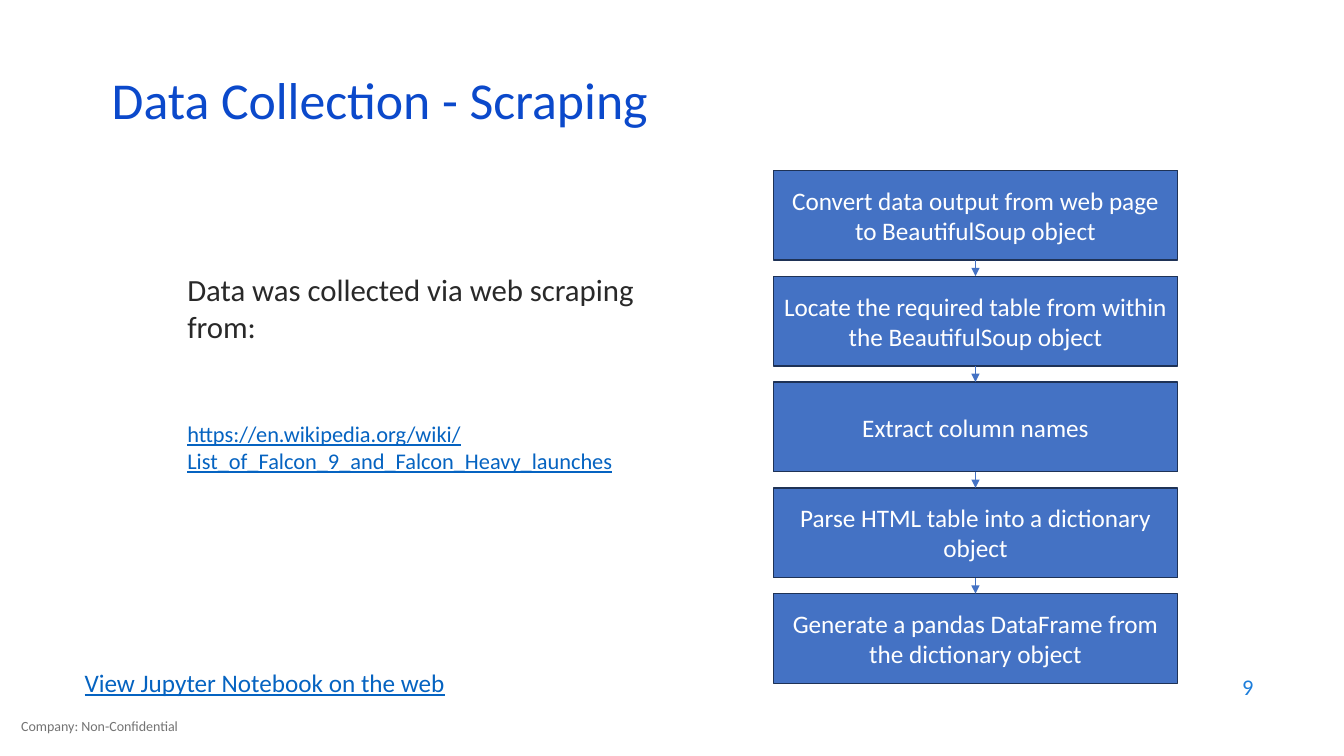
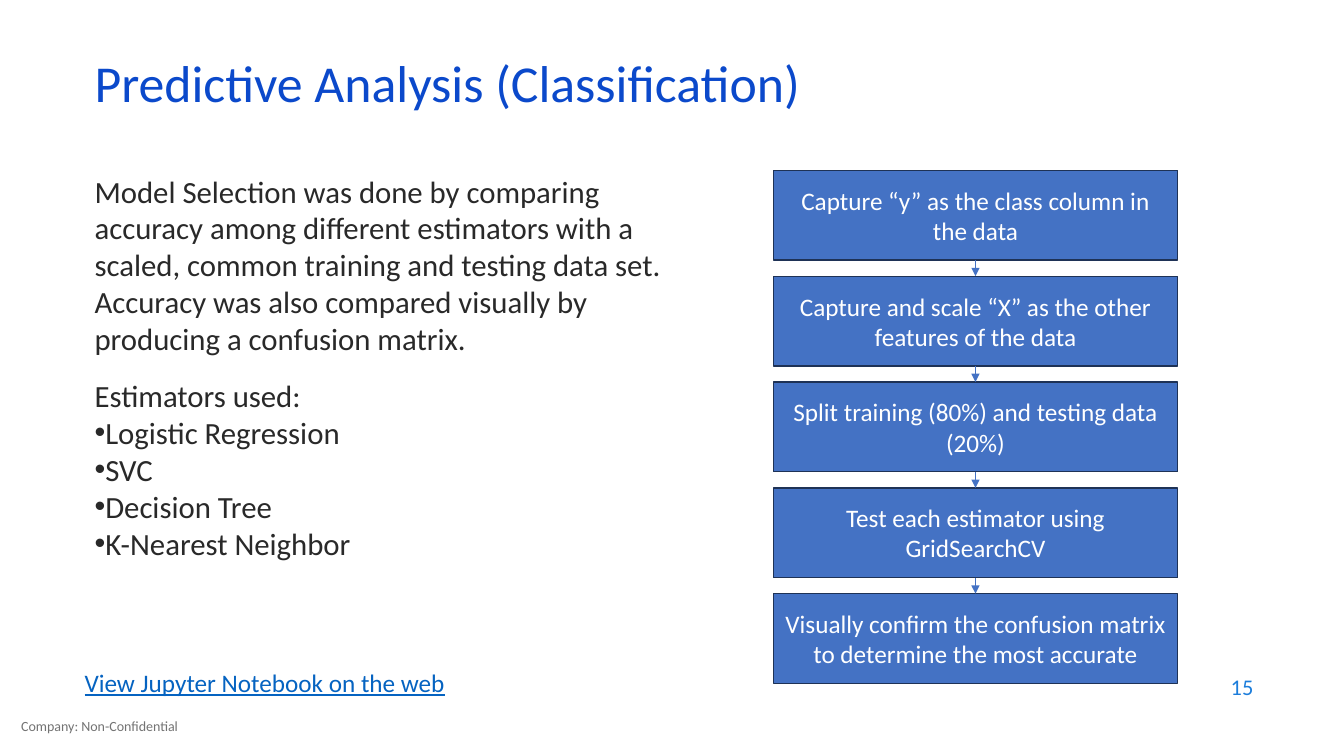
from dataclasses import dataclass
from itertools import pairwise

from lxml import etree
from pptx import Presentation, util as u
from pptx.dml.color import RGBColor
from pptx.enum import shapes, text
from pptx.oxml.ns import qn


@dataclass(frozen=True)
class Theme:
    font: str = "Calibri"
    title: str = "0B49CB"
    body: str = "292929"
    link: str = "0563C1"
    number: str = "1C7DDB"
    footer: str = "737373"
    step: str = "4472C4"
    step_line: str = "1E3256"
    step_text: str = "FFFFFF"
    title_size: int = 37
    body_size: int = 22
    step_size: int = 18
    small_size: int = 16
    footer_size: int = 10


THEME = Theme()
SLIDE_WIDTH, SLIDE_HEIGHT = 13.33, 7.5
FOOTER = "Company: Non-Confidential"
NOTEBOOK = "View Jupyter Notebook on the web"
STEP_LEFT, STEP_TOP, STEP_WIDTH, STEP_HEIGHT, STEP_PITCH = 7.67, 1.69, 4.01, 0.89, 1.05

LINK = dict(size=THEME.small_size, color=THEME.link, underline=True)
BULLET = dict(bullet="•")

SLIDES = [
    dict(
        number=9,
        title="Data Collection - Scraping",
        title_at=(1.01, 0.76, 11.5, 0.6),
        body_at=(1.76, 2.64, 4.83, 3.08),
        body=[
            ("Data was collected via web scraping from:", {}),
            ("https://en.wikipedia.org/wiki/List_of_Falcon_9_and_Falcon_Heavy_launches",
             dict(LINK, before=54)),
        ],
        steps=[
            "Convert data output from web page to BeautifulSoup object",
            "Locate the required table from within the BeautifulSoup object",
            "Extract column names",
            "Parse HTML table into a dictionary object",
            "Generate a pandas DataFrame from the dictionary object",
        ],
    ),
    dict(
        number=15,
        title="Predictive Analysis (Classification)",
        title_at=(0.84, 0.59, 11.5, 0.6),
        body_at=(0.84, 1.66, 6.27, 4.76),
        body=[
            ("Model Selection was done by comparing accuracy among different estimators "
             "with a scaled, common training and testing data set. Accuracy was also "
             "compared visually by producing a confusion matrix.", {}),
            ("Estimators used:", dict(before=14)),
            ("Logistic Regression", BULLET),
            ("SVC", BULLET),
            ("Decision Tree", BULLET),
            ("K-Nearest Neighbor", BULLET),
        ],
        steps=[
            "Capture “y” as the class column in the data",
            "Capture and scale “X” as the other features of the data",
            "Split training (80%) and testing data (20%)",
            "Test each estimator using GridSearchCV",
            "Visually confirm the confusion matrix to determine the most accurate",
        ],
    ),
]


def inches(*lengths):
    return [u.Inches(length) for length in lengths]


def write(paragraph, words, *, size=THEME.body_size, color=THEME.body, underline=None,
          align=text.PP_ALIGN.LEFT, before=0, line_spacing=None, bullet=None):
    if bullet:
        properties = paragraph._p.get_or_add_pPr()
        etree.SubElement(properties, qn("a:buFont"), typeface="Arial")
        etree.SubElement(properties, qn("a:buChar"), char=bullet)
    paragraph.alignment = align
    paragraph.space_before = u.Pt(before)
    if line_spacing:
        paragraph.line_spacing = line_spacing
    run = paragraph.add_run()
    run.text = words
    run.font.name = THEME.font
    run.font.size = u.Pt(size)
    run.font.color.rgb = RGBColor.from_string(color)
    run.font.underline = underline


def add_text(slide, at, paragraphs, *, anchor=text.MSO_ANCHOR.TOP, margin=None):
    """Add a text box holding (words, format) pairs, one per paragraph."""
    frame = slide.shapes.add_textbox(*inches(*at)).text_frame
    frame.word_wrap = True
    frame.vertical_anchor = anchor
    if margin is not None:
        frame.margin_left = frame.margin_right = u.Inches(margin)
        frame.margin_top = frame.margin_bottom = u.Inches(margin)
    for index, (words, style) in enumerate(paragraphs):
        paragraph = frame.add_paragraph() if index else frame.paragraphs[0]
        write(paragraph, words, **style)


def add_step(slide, words, top):
    shape = slide.shapes.add_shape(shapes.MSO_SHAPE.FLOWCHART_PROCESS,
                                   *inches(STEP_LEFT, top, STEP_WIDTH, STEP_HEIGHT))
    shape.shadow.inherit = False
    shape.fill.solid()
    shape.fill.fore_color.rgb = RGBColor.from_string(THEME.step)
    shape.line.color.rgb = RGBColor.from_string(THEME.step_line)
    shape.line.width = u.Pt(1)
    shape.text_frame.word_wrap = True
    shape.text_frame.vertical_anchor = text.MSO_ANCHOR.MIDDLE
    write(shape.text_frame.paragraphs[0], words, size=THEME.step_size,
          color=THEME.step_text, align=text.PP_ALIGN.CENTER)
    return shape


def add_arrow(slide, upper, lower):
    arrow = slide.shapes.add_connector(shapes.MSO_CONNECTOR.STRAIGHT, 0, 0, 0, 0)
    arrow.begin_connect(upper, 2)
    arrow.end_connect(lower, 0)
    arrow.line.color.rgb = RGBColor.from_string(THEME.step)
    arrow.line.width = u.Pt(0.5)
    etree.SubElement(arrow.line._get_or_add_ln(), qn("a:tailEnd"), type="triangle")
    etree.SubElement(arrow._element.spPr, qn("a:effectLst"))


def add_flow(slide, steps):
    boxes = [add_step(slide, words, STEP_TOP + row * STEP_PITCH)
             for row, words in enumerate(steps)]
    for upper, lower in pairwise(boxes):
        add_arrow(slide, upper, lower)


def add_frame(slide, title, title_at, number):
    """Add the title, footer, notebook link and slide number."""
    middle = text.MSO_ANCHOR.MIDDLE
    add_text(slide, (0.21, 7.12, 1.65, 0.17),
             [(FOOTER, dict(size=THEME.footer_size, color=THEME.footer))], margin=0)
    add_text(slide, (9.53, 6.59, 3, 0.44),
             [(str(number), dict(size=THEME.small_size, color=THEME.number,
                                 align=text.PP_ALIGN.RIGHT))], anchor=middle)
    add_text(slide, title_at,
             [(title, dict(size=THEME.title_size, color=THEME.title, line_spacing=0.7))],
             anchor=middle)
    add_text(slide, (0.74, 6.57, 4.2, 0.4),
             [(NOTEBOOK, dict(LINK, size=THEME.step_size))])


def main():
    presentation = Presentation()
    presentation.slide_width, presentation.slide_height = inches(SLIDE_WIDTH, SLIDE_HEIGHT)
    for content in SLIDES:
        slide = presentation.slides.add_slide(presentation.slide_layouts[6])
        add_frame(slide, content["title"], content["title_at"], content["number"])
        add_text(slide, content["body_at"], content["body"])
        add_flow(slide, content["steps"])
    presentation.save("out.pptx")


if __name__ == "__main__":
    main()
